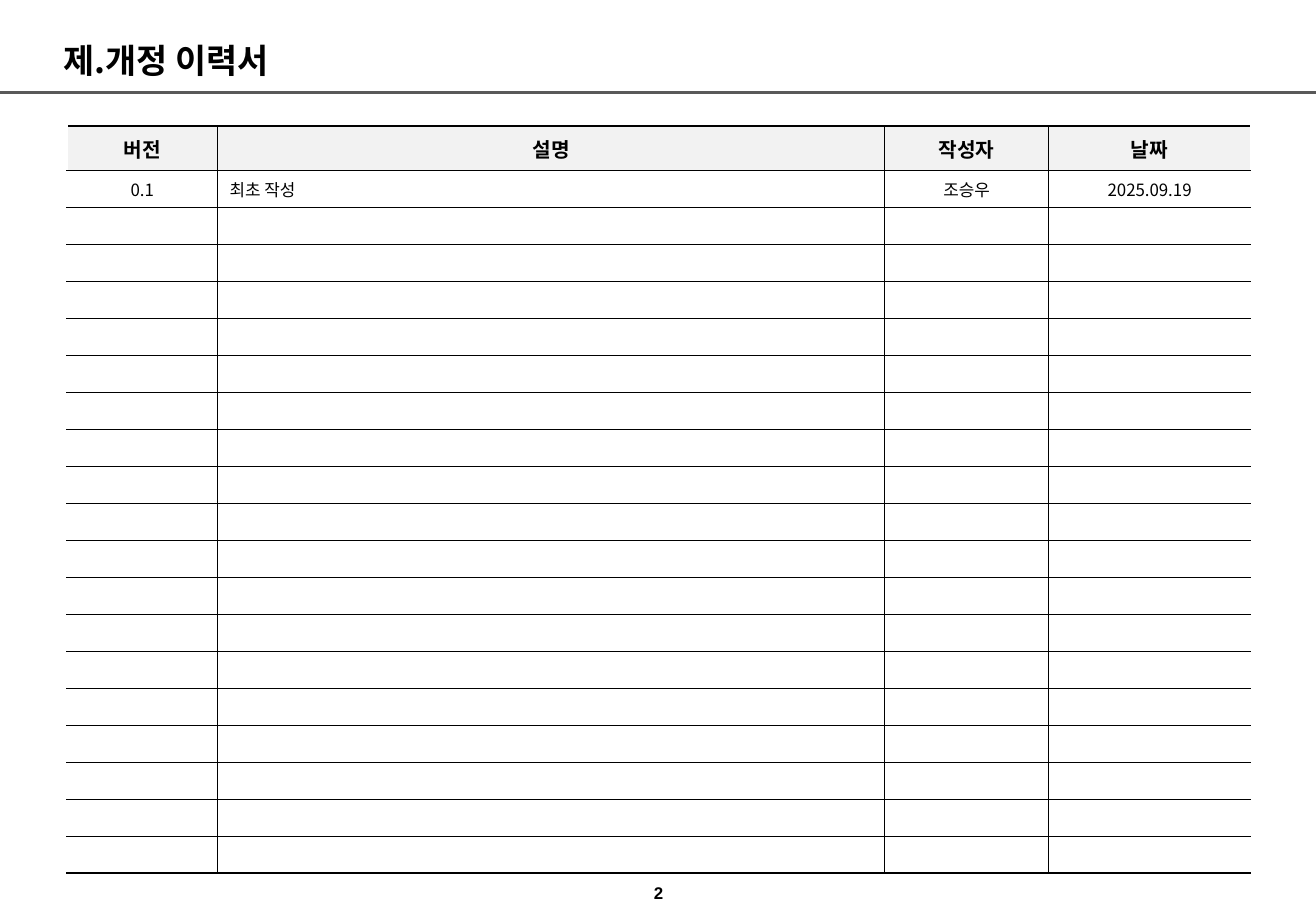
from dataclasses import dataclass

from lxml.etree import SubElement
from pptx import Presentation
from pptx.dml.color import RGBColor
from pptx.enum.shapes import MSO_CONNECTOR
from pptx.enum.text import MSO_ANCHOR, MSO_AUTO_SIZE, PP_ALIGN
from pptx.oxml import parse_xml
from pptx.oxml.ns import nsdecls, qn
from pptx.slide import Slide
from pptx.table import _Cell
from pptx.text.text import TextFrame
from pptx.util import Cm, Pt

COLORS = {"ink": "000000", "paper": "FFFFFF", "header": "F2F2F2", "rule": "595959"}
KOREAN = "Noto Sans CJK KR"
SLIDE_WIDTH, SLIDE_HEIGHT = 27.51, 19.05
TABLE_LEFT, TABLE_TOP = 1.4, 2.64
HEADER_HEIGHT, BODY_HEIGHT, BODY_ROWS = 0.93, 14.7, 19


@dataclass(frozen=True)
class Column:
    heading: str
    width: float
    align: PP_ALIGN = PP_ALIGN.CENTER


COLUMNS = [
    Column("버전", 3.15),
    Column("설명", 13.94, PP_ALIGN.LEFT),
    Column("작성자", 3.43),
    Column("날짜", 4.22),
]
REVISIONS = [["0.1", "최초 작성", "조승우", "2025.09.19"]]


def write(frame: TextFrame, text: str, *, size: float, bold: bool = False,
          font: str = KOREAN, align: PP_ALIGN = PP_ALIGN.LEFT) -> None:
    paragraph = frame.paragraphs[0]
    paragraph.alignment = align
    if not text:
        # Keeps an empty row from growing to the default text size
        SubElement(paragraph._p, qn("a:endParaRPr"), sz=str(int(size * 100)))
        return
    run = paragraph.add_run()
    run.text = text
    run.font.size, run.font.bold, run.font.name = Pt(size), bold, font
    run.font.color.rgb = RGBColor.from_string(COLORS["ink"])
    SubElement(run._r.get_or_add_rPr(), qn("a:ea"), typeface=font)


def set_borders(cell: _Cell, row: int, col: int) -> None:
    inner, outer, open_side = ("ink", 0.75), ("ink", 1.5), ("paper", 1)
    borders = {
        "lnL": open_side if col == 0 else inner,
        "lnR": open_side if col == len(COLUMNS) - 1 else inner,
        "lnT": outer if row == 0 else inner,
        "lnB": outer if row == BODY_ROWS else inner,
    }
    properties = cell._tc.get_or_add_tcPr()
    for index, (side, (color, width)) in enumerate(borders.items()):
        properties.insert(index, parse_xml(
            f'<a:{side} {nsdecls("a")} w="{Pt(width)}"><a:solidFill>'
            f'<a:srgbClr val="{COLORS[color]}"/></a:solidFill></a:{side}>'))


def format_cell(cell: _Cell, row: int, col: int) -> None:
    is_header = row == 0
    cell.vertical_anchor = MSO_ANCHOR.MIDDLE
    cell.margin_left = cell.margin_right = Cm(0.18 if is_header else 0.25)
    cell.margin_top = cell.margin_bottom = Cm(0.1 if is_header else 0.13)
    if is_header:
        cell.fill.solid()
        cell.fill.fore_color.rgb = RGBColor.from_string(COLORS["header"])
    else:
        cell.fill.background()
    set_borders(cell, row, col)


def add_history(slide: Slide) -> None:
    history = slide.shapes.add_table(
        BODY_ROWS + 1, len(COLUMNS), Cm(TABLE_LEFT), Cm(TABLE_TOP),
        Cm(sum(column.width for column in COLUMNS)),
        Cm(HEADER_HEIGHT + BODY_HEIGHT)).table
    history.horz_banding = False
    for grid_column, column in zip(history.columns, COLUMNS):
        grid_column.width = Cm(column.width)
    for row, grid_row in enumerate(history.rows):
        grid_row.height = Cm(BODY_HEIGHT / BODY_ROWS if row else HEADER_HEIGHT)
        revision = REVISIONS[row - 1] if 0 < row <= len(REVISIONS) else [""] * len(COLUMNS)
        for col, column in enumerate(COLUMNS):
            cell = history.cell(row, col)
            format_cell(cell, row, col)
            if row == 0:
                write(cell.text_frame, column.heading, size=12, bold=True,
                      align=PP_ALIGN.CENTER)
            else:
                write(cell.text_frame, revision[col], size=10, align=column.align)


def add_title(slide: Slide) -> None:
    title = slide.shapes.title
    title.left, title.top, title.width, title.height = Cm(1.07), Cm(0.53), Cm(25.4), Cm(1.27)
    title.text_frame.auto_size = MSO_AUTO_SIZE.NONE
    title.text_frame.vertical_anchor = MSO_ANCHOR.BOTTOM
    write(title.text_frame, "제.개정 이력서", size=20, bold=True)


def add_title_rule(slide: Slide) -> None:
    rule = slide.shapes.add_connector(
        MSO_CONNECTOR.STRAIGHT, 0, Cm(1.93), Cm(SLIDE_WIDTH), Cm(1.93))
    rule.line.color.rgb = RGBColor.from_string(COLORS["rule"])
    rule.line.width = Pt(1.5)
    SubElement(rule._element.spPr, qn("a:effectLst"))


def add_page_number(slide: Slide) -> None:
    page_number = slide.shapes.add_textbox(Cm(12.95), Cm(18.34), Cm(1.63), Cm(0.69))
    page_number.text_frame.word_wrap = True
    write(page_number.text_frame, "2", size=10, bold=True, font="Arial",
          align=PP_ALIGN.CENTER)


def main() -> None:
    presentation = Presentation()
    presentation.slide_width, presentation.slide_height = Cm(SLIDE_WIDTH), Cm(SLIDE_HEIGHT)
    slide = presentation.slides.add_slide(presentation.slide_layouts[5])

    # Page frame
    add_page_number(slide)
    add_title_rule(slide)
    add_title(slide)

    # Revision history
    add_history(slide)

    presentation.save("out.pptx")


if __name__ == "__main__":
    main()
